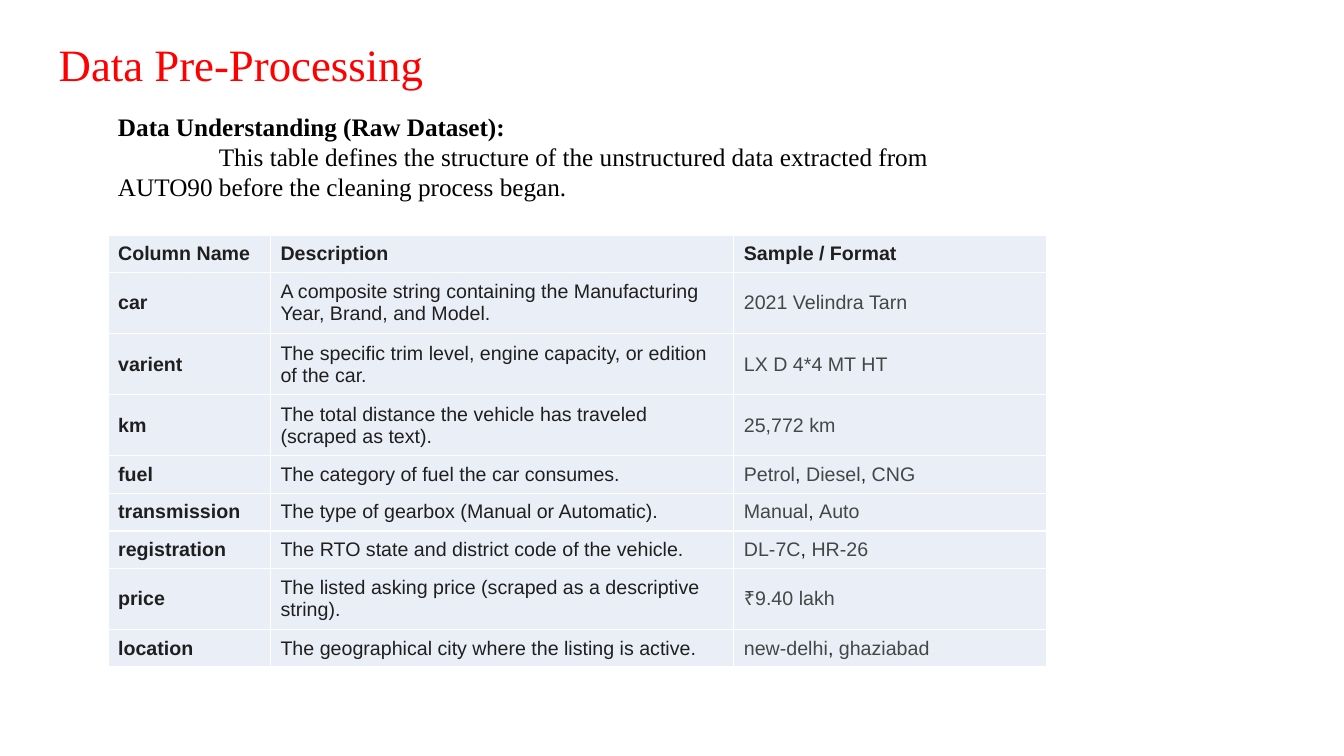
from lxml import etree
from pptx import Presentation
from pptx.dml.color import RGBColor
from pptx.enum.text import MSO_ANCHOR
from pptx.oxml.ns import qn
from pptx.util import Pt

MIDDLE = MSO_ANCHOR.MIDDLE
COLORS = {"title": "FF0000", "body": "000000", "cell": "EAEFF7",
          "border": "FFFFFF", "dark": "1F1F1F", "gray": "444746"}
SERIF, SANS = "Times New Roman", "Arial"

COLUMN_WIDTHS = [116, 331, 223.2]
SHORT_ROW, TALL_ROW = 26.4, 43.5
ROWS = [
    ("Column Name", "Description", "Sample / Format"),
    ("car", "A composite string containing the Manufacturing Year, Brand, and Model.",
     "2021 Velindra Tarn"),
    ("varient", "The specific trim level, engine capacity, or edition of the car.",
     "LX D 4*4 MT HT"),
    ("km", "The total distance the vehicle has traveled (scraped as text).", "25,772 km"),
    ("fuel", "The category of fuel the car consumes.", "Petrol, Diesel, CNG"),
    ("transmission", "The type of gearbox (Manual or Automatic).", "Manual, Auto"),
    ("registration", "The RTO state and district code of the vehicle.", "DL-7C, HR-26"),
    ("price", "The listed asking price (scraped as a descriptive string).", "₹9.40 lakh"),
    ("location", "The geographical city where the listing is active.",
     "new-delhi, ghaziabad"),
]
TALL_NAMES = {"car", "varient", "km", "price"}


def add_span(para, text, size, font, color, bold=False):
    span = para.add_run()
    span.text = text
    for name, value in {"size": Pt(size), "name": font, "bold": bold}.items():
        setattr(span.font, name, value)
    span.font.color.rgb = RGBColor.from_string(COLORS[color])


def add_borders(cell):
    """Draw a thin line on all four sides; call before filling the cell."""
    properties = cell._tc.get_or_add_tcPr()
    for side in ("lnL", "lnR", "lnT", "lnB"):
        line = etree.SubElement(properties, qn(f"a:{side}"), w=str(Pt(1)))
        fill = etree.SubElement(line, qn("a:solidFill"))
        etree.SubElement(fill, qn("a:srgbClr"), val=COLORS["border"])


deck = Presentation()
deck.slide_width, deck.slide_height = Pt(960), Pt(540)
page = deck.slides.add_slide(deck.slide_layouts[6])

# Title
box = page.shapes.add_textbox(Pt(34.8), Pt(23), Pt(902), Pt(46))
box.text_frame.word_wrap = True
add_span(box.text_frame.paragraphs[0], "Data Pre-Processing", 32, SERIF, "title")

# Raw dataset table
frame = page.shapes.add_table(len(ROWS), len(COLUMN_WIDTHS), Pt(77.2), Pt(167.9),
                              Pt(sum(COLUMN_WIDTHS)), Pt(304.6))
table = frame.table
table.first_row = table.horz_banding = False
for column, width in zip(table.columns, COLUMN_WIDTHS):
    column.width = Pt(width)

cell_format = {"vertical_anchor": MIDDLE, "margin_left": Pt(7.2), "margin_right": Pt(7.2),
               "margin_top": Pt(5), "margin_bottom": Pt(5)}
for row_index, texts in enumerate(ROWS):
    is_header = row_index == 0
    table.rows[row_index].height = Pt(TALL_ROW if texts[0] in TALL_NAMES else SHORT_ROW)
    for column_index, text in enumerate(texts):
        cell = table.cell(row_index, column_index)
        for name, value in cell_format.items():
            setattr(cell, name, value)
        add_borders(cell)
        cell.fill.solid()
        cell.fill.fore_color.rgb = RGBColor.from_string(COLORS["cell"])
        para = cell.text_frame.paragraphs[0]
        if is_header or column_index < 2:
            add_span(para, text, 14, SANS, "dark", is_header or column_index == 0)
            continue
        for sample_index, sample in enumerate(text.split(", ")):
            if sample_index:
                add_span(para, ", ", 14, SANS, "dark")
            add_span(para, sample, 14, SANS, "gray")

# Introduction
box = page.shapes.add_textbox(Pt(77.2), Pt(75.6), Pt(661), Pt(72.7))
box.text_frame.word_wrap = True
add_span(box.text_frame.paragraphs[0], "Data Understanding (Raw Dataset):",
         18, SERIF, "body", True)
para = box.text_frame.add_paragraph()
para._p.get_or_add_pPr().set("indent", str(Pt(72)))
add_span(para, "This table defines the structure of the unstructured data extracted from "
         "AUTO90 before the cleaning process began.", 18, SERIF, "body")

deck.save("out.pptx")
